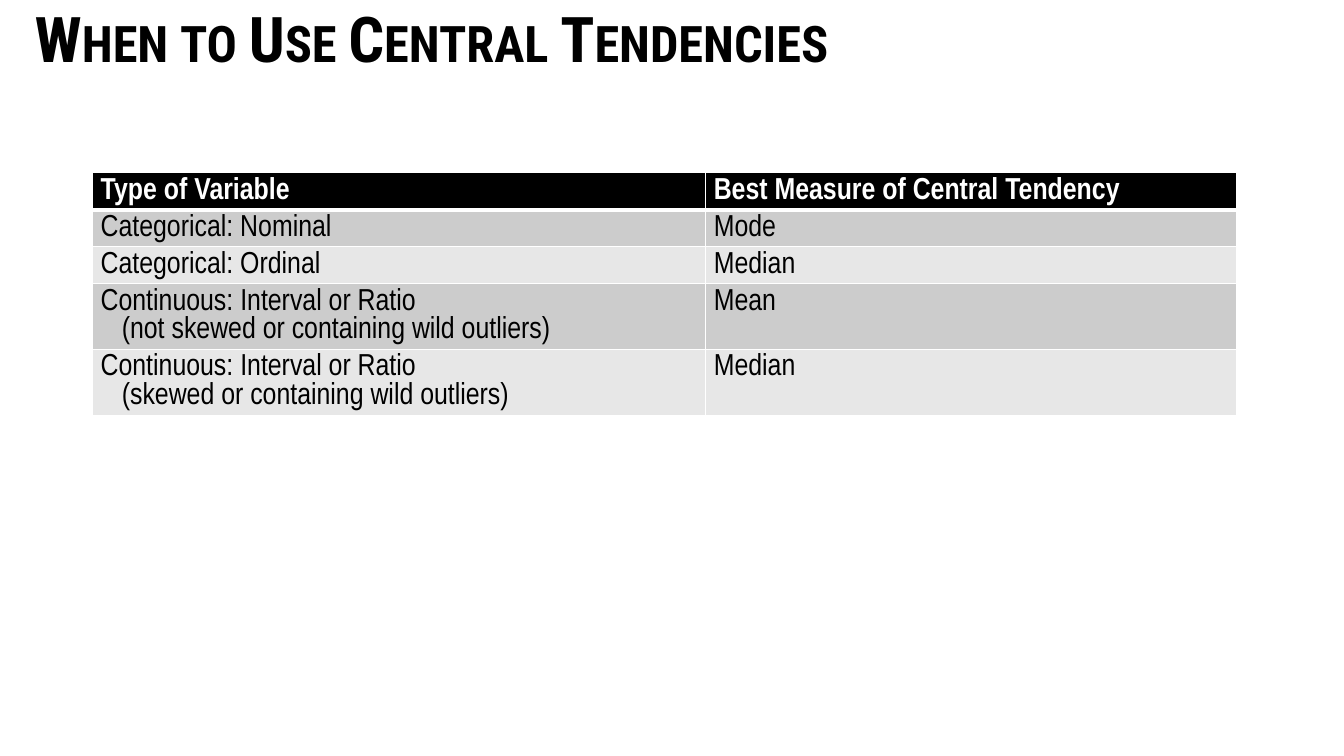
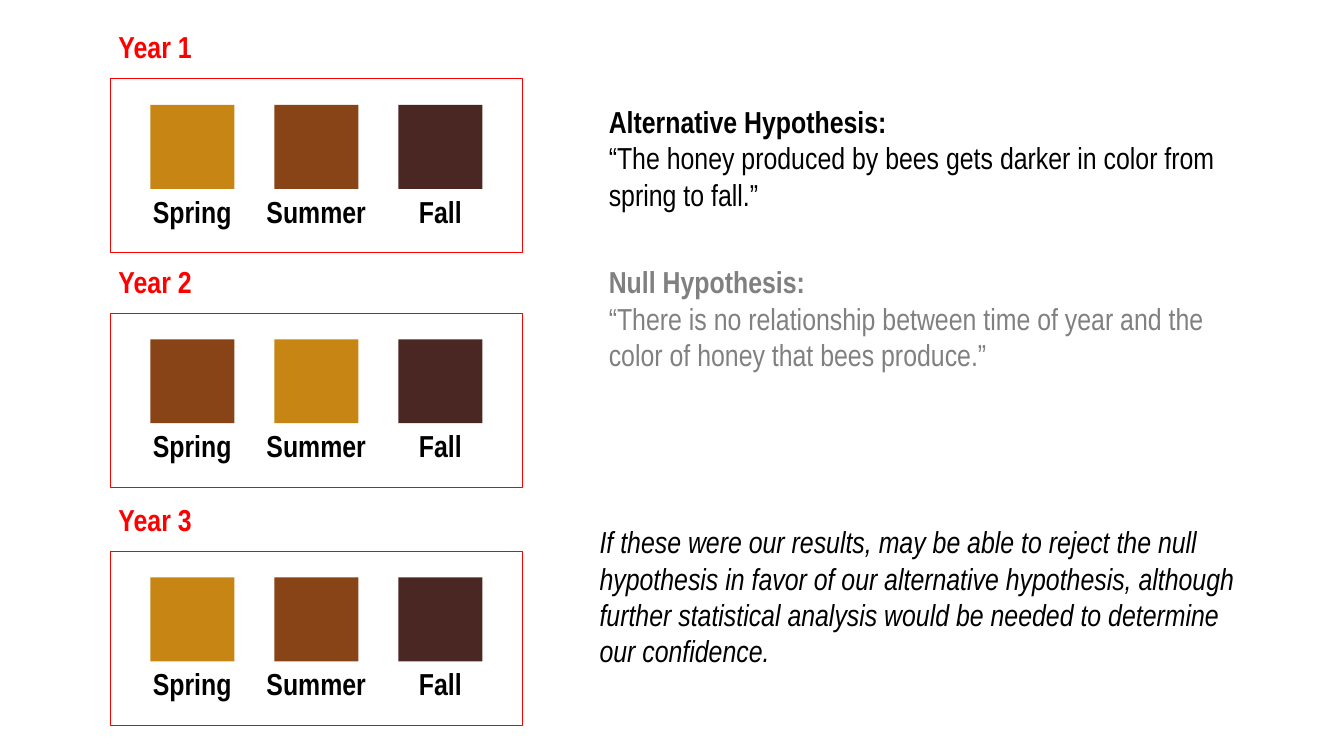
from lxml import etree
from pptx import Presentation
from pptx.dml.color import RGBColor
from pptx.enum.shapes import MSO_SHAPE
from pptx.enum.text import MSO_ANCHOR, MSO_AUTO_SIZE, PP_ALIGN
from pptx.oxml.ns import qn
from pptx.util import Cm, Pt

LEFT, CENTER = PP_ALIGN.LEFT, PP_ALIGN.CENTER
MIDDLE = MSO_ANCHOR.MIDDLE
NO_FIT, GROW = MSO_AUTO_SIZE.NONE, MSO_AUTO_SIZE.SHAPE_TO_FIT_TEXT
RECT = MSO_SHAPE.RECTANGLE
TITLE_ONLY, BLANK = 5, 6

COLORS = {
    "black": "000000", "white": "FFFFFF", "red": "FF0000", "gray": "808080",
    "band_dark": "CCCCCC", "band_light": "E7E7E7",
    "gold": "C78514", "amber": "884317", "brown": "4A2723",
}
TITLE_FONT, BODY_FONT = "Roboto Condensed", "Arial Narrow"
SEASONS = ["Spring", "Summer", "Fall"]
YEARS = [
    ("Year 1", 2.38, ["gold", "amber", "brown"]),
    ("Year 2", 9.47, ["amber", "gold", "brown"]),
    ("Year 3", 16.67, ["gold", "amber", "brown"]),
]
HYPOTHESES = [
    (2.99, "black", "Alternative Hypothesis:",
     "“The honey produced by bees gets darker in color from spring to fall.”"),
    (7.84, "gray", "Null Hypothesis:",
     "“There is no relationship between time of year and the color of honey that bees produce.”"),
]
CONCLUSION = (
    "If these were our results, may be able to reject the null hypothesis in favor of "
    "our alternative hypothesis, although further statistical analysis would be needed "
    "to determine our confidence."
)
MEASURES = [
    (["Type of Variable"], ["Best Measure of Central Tendency"]),
    (["Categorical: Nominal"], ["Mode"]),
    (["Categorical: Ordinal"], ["Median"]),
    (["Continuous: Interval or Ratio", "(not skewed or containing wild outliers)"], ["Mean"]),
    (["Continuous: Interval or Ratio", "(skewed or containing wild outliers)"], ["Median"]),
]


def rgb(name):
    """Return the named colour."""
    return RGBColor.from_string(COLORS[name])


def write(tf, text, new=False, size=26, font=BODY_FONT, color="black", bold=False,
          italic=False, align=LEFT, indent=0, small_caps=False):
    """Write one formatted paragraph into a text frame."""
    p = tf.add_paragraph() if new else tf.paragraphs[0]
    p.alignment = align
    if indent:
        p._p.get_or_add_pPr().set("marL", str(Cm(indent)))
    r = p.add_run()
    r.text = text
    r.font.size, r.font.name = Pt(size), font
    r.font.bold, r.font.italic = bold, italic
    r.font.color.rgb = rgb(color)
    if small_caps:
        r._r.get_or_add_rPr().set("cap", "small")


def add_text(shapes, x, y, w, h, text, **fmt):
    """Add a wrapping text box and return its text frame."""
    tf = shapes.add_textbox(Cm(x), Cm(y), Cm(w), Cm(h)).text_frame
    tf.word_wrap = True
    tf.auto_size = GROW
    write(tf, text, **fmt)
    return tf


def add_rect(shapes, x, y, w, h, fill=None, line=None):
    """Add a rectangle with an optional fill and outline."""
    sp = shapes.add_shape(RECT, Cm(x), Cm(y), Cm(w), Cm(h))
    sp.shadow.inherit = False
    if fill:
        sp.fill.solid()
        sp.fill.fore_color.rgb = rgb(fill)
    else:
        sp.fill.background()
    if line:
        sp.line.color.rgb = rgb(line)
        sp.line.width = Pt(0.75)
    else:
        sp.line.fill.background()


def set_title(s, text):
    """Place and format the slide title."""
    sp = s.shapes.title
    sp.left, sp.top, sp.width, sp.height = Cm(0.69), Cm(0.25), Cm(39.95), Cm(1.78)
    tf = sp.text_frame
    tf.word_wrap, tf.auto_size, tf.vertical_anchor = True, NO_FIT, MIDDLE
    tf.margin_left = tf.margin_right = Cm(0.36)
    tf.margin_top = tf.margin_bottom = Cm(0.18)
    write(tf, text, size=54, font=TITLE_FONT, bold=True, small_caps=True)


def set_borders(cell, top, bottom):
    """Draw white cell borders, with top and bottom widths in points."""
    tc_pr = cell._tc.get_or_add_tcPr()
    for side, width in (("L", 1), ("R", 1), ("T", top), ("B", bottom)):
        ln = etree.SubElement(tc_pr, qn(f"a:ln{side}"), w=str(Pt(width)))
        fill = etree.SubElement(ln, qn("a:solidFill"))
        etree.SubElement(fill, qn("a:srgbClr"), val=COLORS["white"])


def add_measures_table(s):
    """Add the table of variable types and their best measures."""
    row_h, widths = 1.04, (18.54, 16.05)
    table = s.shapes.add_table(len(MEASURES), len(widths), Cm(2.79), Cm(5.23),
                               Cm(sum(widths)), Cm(row_h * len(MEASURES))).table
    for col, width in zip(table.columns, widths):
        col.width = Cm(width)
    for i, row in enumerate(MEASURES):
        header = i == 0
        band = "black" if header else "band_dark" if i % 2 else "band_light"
        for j, lines in enumerate(row):
            cell = table.cell(i, j)
            set_borders(cell, top=3 if i == 1 else 1, bottom=3 if header else 1)
            cell.fill.solid()
            cell.fill.fore_color.rgb = rgb(band)
            for n, line in enumerate(lines):
                write(cell.text_frame, line, new=n > 0, bold=header,
                      color="white" if header else "black", indent=0.64 * n)


def add_year(s, label, y, colors):
    """Add a framed row of season swatches under a year label."""
    shapes = s.shapes.add_group_shape().shapes
    for i, (season, color) in enumerate(zip(SEASONS, colors)):
        x = 3.58 + 3.75 * i
        add_rect(shapes, x + 0.97, y + 0.79, 2.54, 2.54, fill=color)
        add_text(shapes, x, y + 3.33, 4.47, 1.37, season, bold=True, align=CENTER)
    add_rect(shapes, 3.33, y, 12.47, 5.26, line="red")
    add_text(shapes, 3.33, y - 1.64, 4.47, 1.37, label, bold=True, color="red")


def main():
    """Build and save the presentation."""
    prs = Presentation()
    prs.slide_width, prs.slide_height = Cm(40.64), Cm(22.86)

    s = prs.slides.add_slide(prs.slide_layouts[TITLE_ONLY])
    set_title(s, "When to Use Central Tendencies")
    add_measures_table(s)

    s = prs.slides.add_slide(prs.slide_layouts[BLANK])
    for y, color, heading, statement in HYPOTHESES:
        tf = add_text(s.shapes, 18.16, y, 19.99, 3.58, heading, bold=True, color=color)
        write(tf, statement, new=True, color=color)
    for year in YEARS:
        add_year(s, *year)
    add_text(s.shapes, 17.88, 15.7, 20.24, 4.7, CONCLUSION, italic=True)

    prs.save("out.pptx")


if __name__ == "__main__":
    main()
